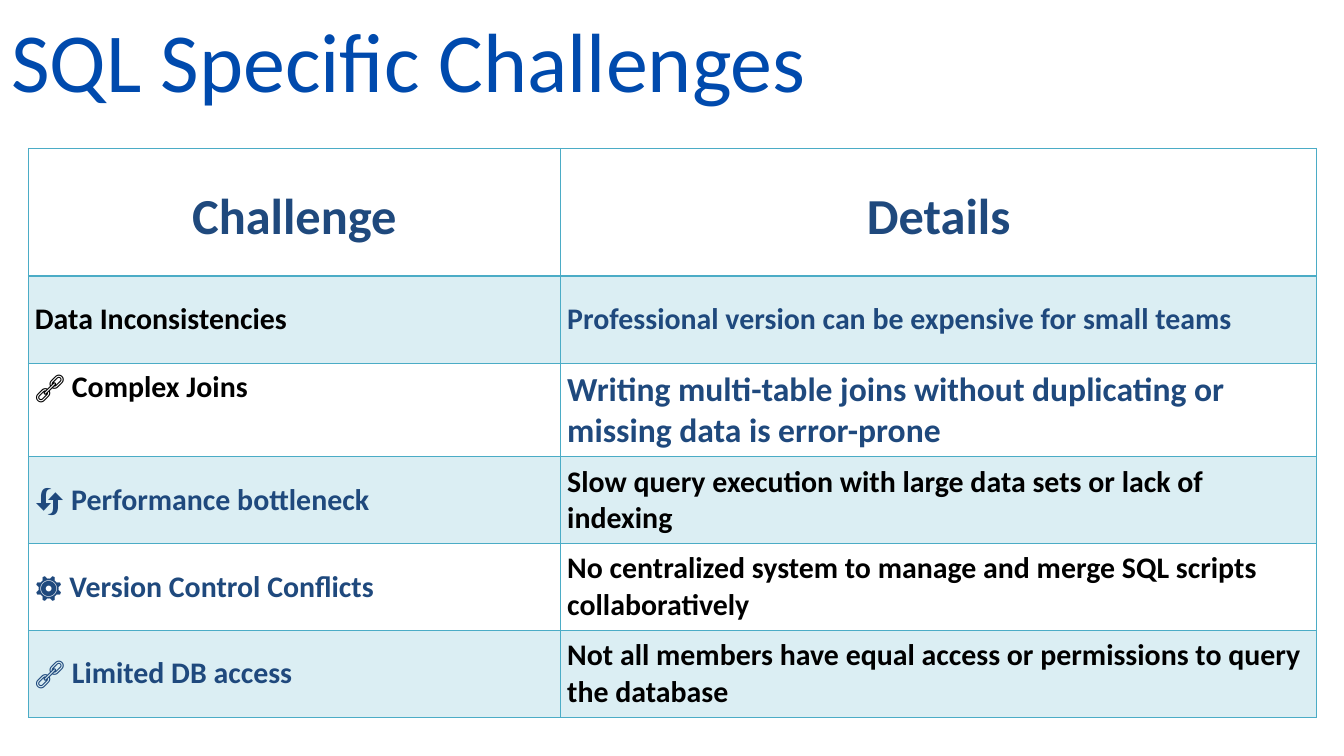
from dataclasses import dataclass
from lxml.etree import SubElement
from pptx import Presentation
from pptx.dml.color import RGBColor
from pptx.enum.text import MSO_ANCHOR, PP_ALIGN
from pptx.oxml.ns import qn
from pptx.util import Cm, Pt


@dataclass(frozen=True)
class Theme:
    font: str = "Calibri"
    title: str = "004AAD"
    navy: str = "1F497D"
    black: str = "000000"
    teal: str = "4BACC6"
    huge: int = 90
    head: int = 54
    large: int = 36
    body: int = 32


THEME = Theme()


def write(para, text, size=THEME.body, color=THEME.black, bold=True,
          align=PP_ALIGN.LEFT, space=None):
    para.alignment = align
    if space:
        para.line_spacing = space
    run = para.add_run()
    run.text = text
    font = run.font
    font.name, font.size, font.bold = THEME.font, Pt(size), bold
    font.color.rgb = RGBColor.from_string(color)


class Deck:
    def __init__(self, theme, width, height):
        self.theme = theme
        self.show = Presentation()
        self.show.slide_width, self.show.slide_height = Cm(width), Cm(height)
        self.slide = self.show.slides.add_slide(self.show.slide_layouts[6])

    def title(self, text, *box):
        frame = self.slide.shapes.add_textbox(*map(Cm, box)).text_frame
        frame.word_wrap = True
        frame.margin_left = frame.margin_right = 0
        frame.margin_top = frame.margin_bottom = 0
        size = self.theme.huge
        write(frame.paragraphs[0], text, size=size, color=self.theme.title,
              bold=False, space=Pt(size))

    def table(self, left, top, widths, heights):
        shape = self.slide.shapes.add_table(
            len(heights), len(widths), Cm(left), Cm(top),
            Cm(sum(widths)), Cm(sum(heights)))
        grid = shape.table
        grid.first_row = grid.horz_banding = False
        for col, width in zip(grid.columns, widths):
            col.width = Cm(width)
        for row, height in zip(grid.rows, heights):
            row.height = Cm(height)
        return grid

    def cell(self, cell, runs, anchor=MSO_ANCHOR.MIDDLE, tint=False,
             rule=1, **form):
        cell.vertical_anchor = anchor
        cell.margin_left = cell.margin_right = Cm(0.25)
        cell.margin_top = cell.margin_bottom = Cm(0.25)
        for side in "LRTB":
            self.edge(cell, side, rule if side == "B" else 1)
        if tint:
            cell.fill.solid()
            cell.fill.fore_color.rgb = RGBColor.from_string(self.theme.teal)
            color = cell._tc.tcPr.find(qn("a:solidFill"))[0]
            SubElement(color, qn("a:alpha"), val="20000")
        else:
            cell.fill.background()
        para = cell.text_frame.paragraphs[0]
        for text, style in runs:
            write(para, text, **form, **style)

    def edge(self, cell, side, points):
        props = cell._tc.get_or_add_tcPr()
        line = SubElement(props, qn(f"a:ln{side}"), w=str(Pt(points)))
        fill = SubElement(line, qn("a:solidFill"))
        SubElement(fill, qn("a:srgbClr"), val=self.theme.teal)

    def save(self):
        self.show.save("out.pptx")


def main():
    navy = {"color": THEME.navy}
    large = {"color": THEME.navy, "size": THEME.large}
    plain = {"bold": False}
    heads = ["Challenge", "Details"]
    rows = [
        ([("Data Inconsistencies", {})],
         [("Professional version can be expensive for small teams", navy)]),
        ([("🔗 ", plain), ("Complex Joins", {})],
         [("Writing multi-table joins without duplicating or missing data "
           "is error-prone", large)]),
        ([("🔄 Performance bottleneck", navy)],
         [("Slow query execution with large data sets or lack of indexing",
           {})]),
        ([("⚙️ Version Control Conflicts", navy)],
         [("No centralized system to manage and merge SQL scripts "
           "collaboratively", {})]),
        ([("🔗 Limited DB access", navy)],
         [("Not all members have equal access or permissions to query "
           "the database", {})]),
    ]

    deck = Deck(THEME, 50.8, 28.58)
    deck.title("SQL Specific Challenges", 0.43, 0.97, 41.7, 3.23)
    grid = deck.table(1.07, 5.61, [20.12, 28.58],
                      [4.83, 3.28, 3.45, 3.28, 3.28, 3.28])
    for col, text in enumerate(heads):
        deck.cell(grid.cell(0, col), [(text, navy)], rule=2,
                  size=THEME.head, align=PP_ALIGN.CENTER, space=1.15)
    for row, pair in enumerate(rows, 1):
        anchor = MSO_ANCHOR.TOP if row == 2 else MSO_ANCHOR.MIDDLE
        for col, runs in enumerate(pair):
            deck.cell(grid.cell(row, col), runs, anchor, tint=row % 2 == 1)
    deck.save()


if __name__ == "__main__":
    main()
